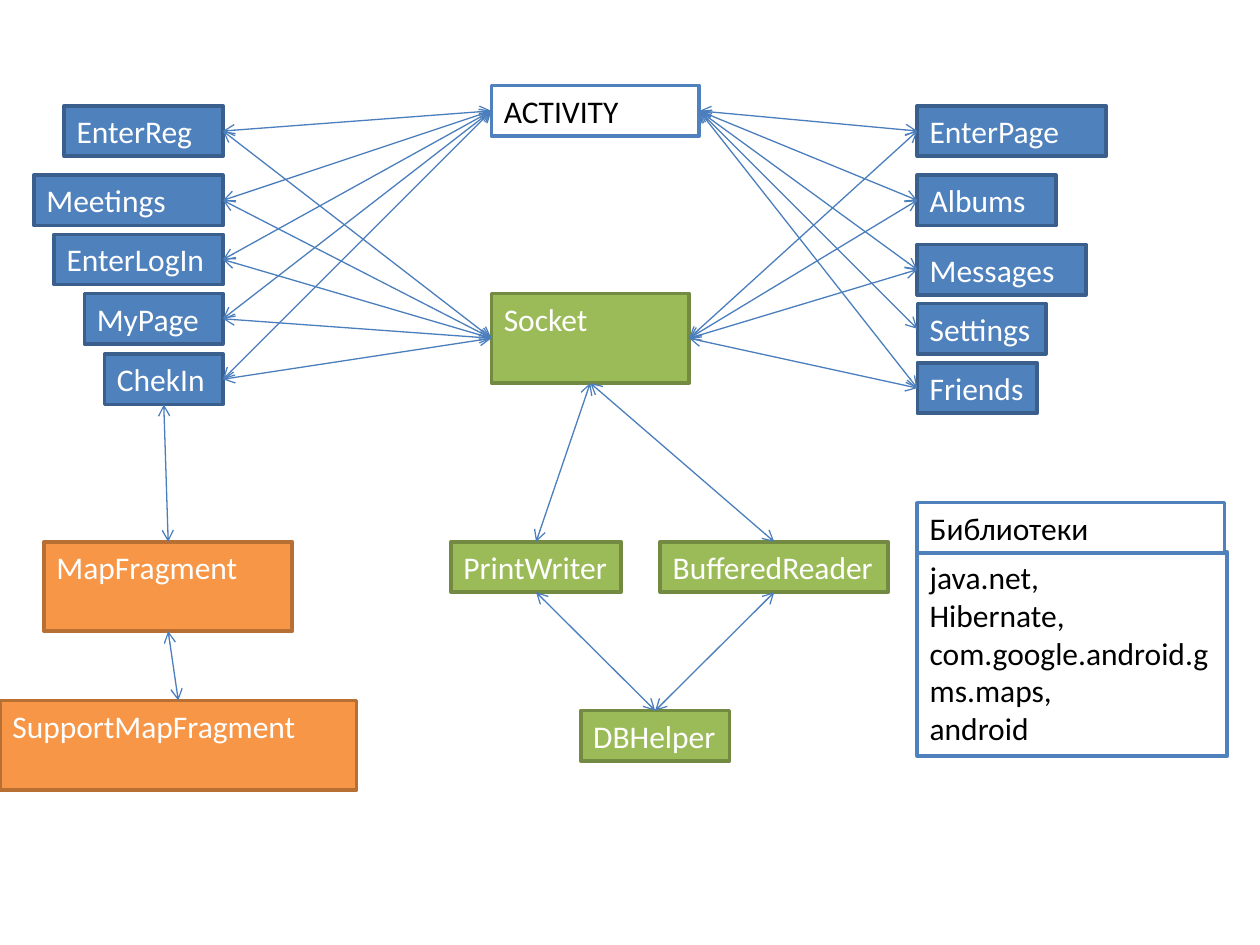
from pptx import Presentation
from pptx.dml.color import RGBColor
from pptx.enum.shapes import MSO_CONNECTOR, MSO_SHAPE
from pptx.enum.text import MSO_ANCHOR, PP_ALIGN
from pptx.oxml.ns import qn
from pptx.util import Inches, Pt
from lxml import etree

RECT = MSO_SHAPE.RECTANGLE
LINE = MSO_CONNECTOR.STRAIGHT
LEFT_TEXT = PP_ALIGN.LEFT
ANCHOR = MSO_ANCHOR.TOP
TOP, LEFT, BOTTOM, RIGHT = range(4)

WHITE = RGBColor(0xFF, 0xFF, 0xFF)
BLACK = RGBColor(0, 0, 0)
BLUE = RGBColor(0x4F, 0x81, 0xBD)
NAVY = RGBColor(0x3A, 0x5F, 0x8C)
GREEN = RGBColor(0x9B, 0xBB, 0x59)
MOSS = RGBColor(0x73, 0x8A, 0x42)
ORANGE = RGBColor(0xF7, 0x96, 0x46)
RUST = RGBColor(0xB7, 0x6F, 0x34)
ARROW = RGBColor(0x4B, 0x7E, 0xBC)

PLAIN = (WHITE, BLUE, BLACK)
PAGE = (BLUE, NAVY, WHITE)
NET = (GREEN, MOSS, WHITE)
MAP = (ORANGE, RUST, WHITE)

LOW, TALL = 0.4, 0.71
ROWS = (0, 0.55, 1.02, 1.49, 1.97)


def add_box(slide, x, y, wide, high, style, *lines, wrap=True):
    """Draw a labelled rectangle with one paragraph per line."""
    fill, edge, ink = style
    box = slide.shapes.add_shape(RECT, Inches(x), Inches(y), Inches(wide), Inches(high))
    box.shadow.inherit = False
    box.fill.solid()
    box.fill.fore_color.rgb = fill
    box.line.color.rgb = edge
    box.line.width = Pt(2)
    frame = box.text_frame
    frame.word_wrap = wrap
    frame.vertical_anchor = ANCHOR
    for i, line in enumerate(lines):
        para = frame.add_paragraph() if i else frame.paragraphs[0]
        para.alignment = LEFT_TEXT
        run = para.add_run()
        run.text = line
        run.font.name = "Calibri"
        run.font.size = Pt(18)
        run.font.color.rgb = ink
    return box


def link(slide, start, side, end, face):
    """Join two boxes with a double-headed arrow."""
    wire = slide.shapes.add_connector(LINE, 0, 0, 0, 0)
    wire.begin_connect(start, side)
    wire.end_connect(end, face)
    wire.line.color.rgb = ARROW
    wire.line.width = Pt(0.75)
    props = wire.line._get_or_add_ln()
    for tag in ("a:headEnd", "a:tailEnd"):
        etree.SubElement(props, qn(tag)).set("type", "arrow")
    etree.SubElement(wire._element.spPr, qn("a:effectLst"))


def add_left(slide, right, y):
    """Stack the left pages against a right edge."""
    pages = (("EnterReg", 1.26), ("Meetings", 1.5), ("EnterLogIn", 1.34),
             ("MyPage", 1.1), ("ChekIn", 0.94))
    return [add_box(slide, right - wide, y + row, wide, LOW, PAGE, name)
            for (name, wide), row in zip(pages, ROWS)]


def add_right(slide, x, y):
    """Stack the right pages against a left edge."""
    pages = (("EnterPage", 1.5, 0, True), ("Albums", 1.1, 0.55, True),
             ("Messages", 1.34, 1.1, True), ("Settings", 1.02, 1.57, False),
             ("Friends", 0.95, 2.04, False))
    return [add_box(slide, x, y + row, wide, LOW, PAGE, name, wrap=wrap)
            for name, wide, row, wrap in pages]


def add_maps(slide, x, y, check):
    """Hang the map fragments under the check-in page."""
    part = add_box(slide, x + 0.35, y, 1.97, TALL, MAP, "MapFragment")
    base = add_box(slide, x, y + 1.26, 2.83, TALL, MAP, "SupportMapFragment")
    link(slide, check, BOTTOM, part, TOP)
    link(slide, part, BOTTOM, base, TOP)


def add_net(slide, x, y):
    """Draw the socket with its streams and database helper."""
    socket = add_box(slide, x + 0.32, y, 1.57, TALL, NET, "Socket")
    helper = add_box(slide, x + 1.03, y + 3.31, 1.18, LOW, NET, "DBHelper", wrap=False)
    for name, step, wide in (("PrintWriter", 0, 1.35), ("BufferedReader", 1.66, 1.81)):
        stream = add_box(slide, x + step, y + 1.97, wide, LOW, NET, name, wrap=False)
        link(slide, socket, BOTTOM, stream, TOP)
        link(slide, stream, BOTTOM, helper, TOP)
    return socket


def add_libs(slide, x, y):
    """Draw the library list under its heading."""
    add_box(slide, x, y + 0.39, 2.46, 1.62, PLAIN, "java.net,",
            "Hibernate, com.google.android.gms.maps, ", "android")
    add_box(slide, x, y, 2.44, LOW, PLAIN, "Библиотеки")


def build():
    """Build the class diagram and save it."""
    deck = Presentation()
    deck.slide_width, deck.slide_height = Inches(10), Inches(7.5)
    slide = deck.slides.add_slide(deck.slide_layouts[6])
    main = add_box(slide, 3.9, 0.68, 1.65, LOW, PLAIN, "ACTIVITY")
    left = add_left(slide, 1.77, 0.84)
    right = add_right(slide, 7.28, 0.84)
    socket = add_net(slide, 3.58, 2.33)
    for page in left:
        link(slide, page, RIGHT, main, LEFT)
        link(slide, socket, LEFT, page, RIGHT)
    for i, page in enumerate(right):
        link(slide, main, RIGHT, page, LEFT)
        if i != 3:
            link(slide, socket, RIGHT, page, LEFT)
    add_maps(slide, 0, 4.3, left[-1])
    add_libs(slide, 7.28, 3.99)
    deck.save("out.pptx")


build()
